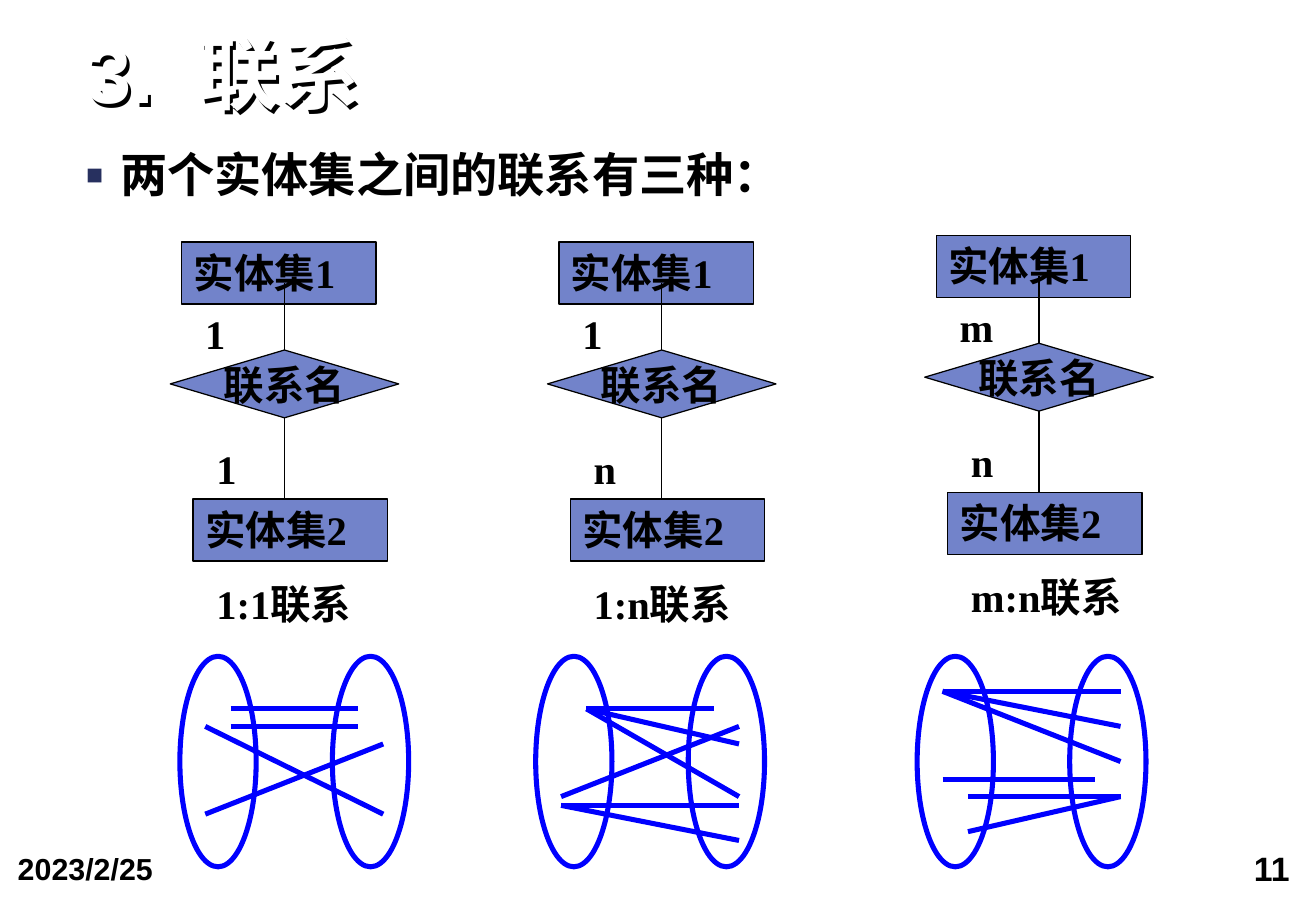
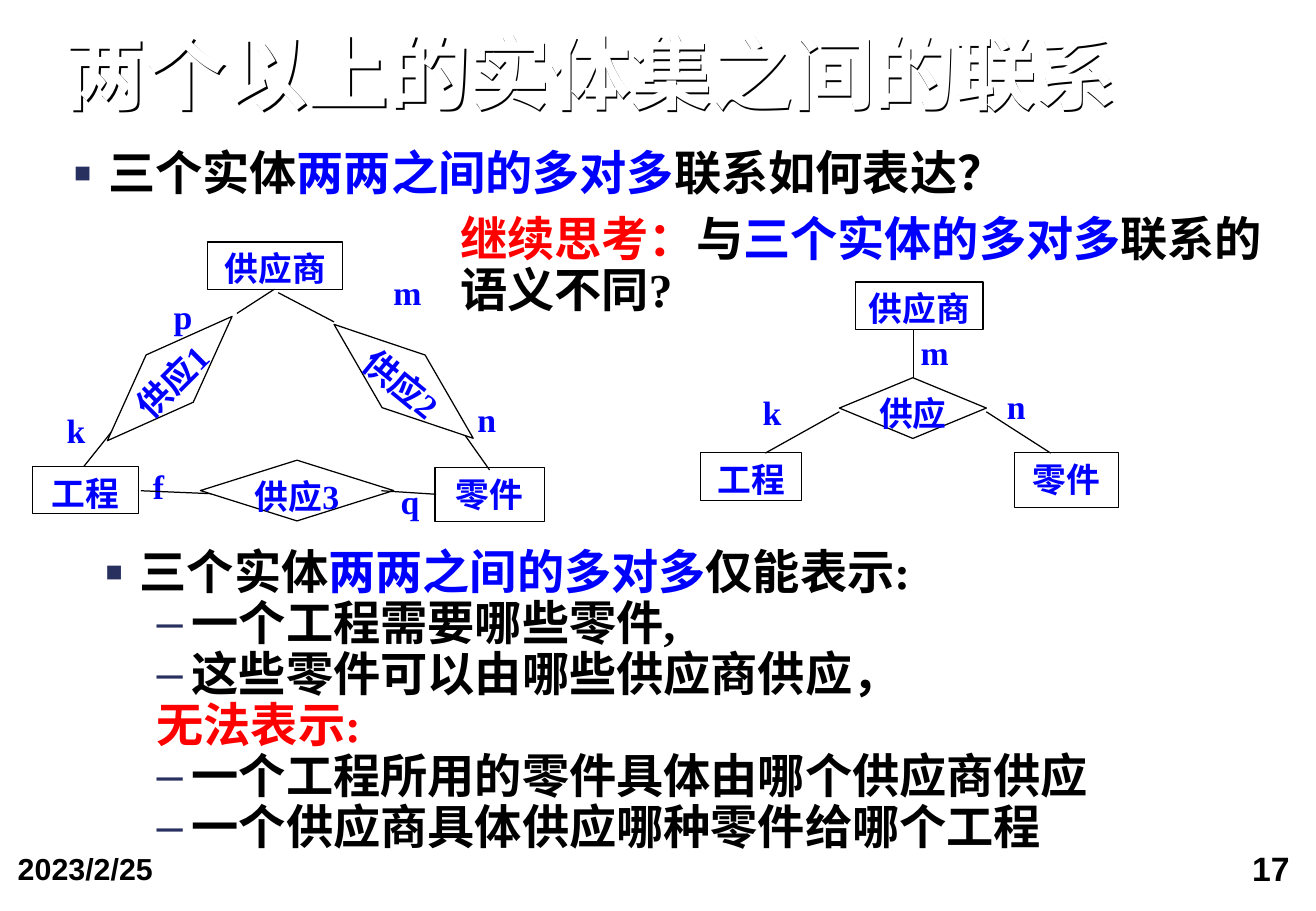
from dataclasses import dataclass

import pptx
import pptx.dml.color
import pptx.enum.shapes
import pptx.enum.text
import pptx.oxml
import pptx.util

Pt = pptx.util.Pt
RGBColor = pptx.dml.color.RGBColor
Shape = pptx.enum.shapes.MSO_SHAPE
Align = pptx.enum.text.PP_ALIGN
Anchor = pptx.enum.text.MSO_ANCHOR

BLACK = RGBColor(0x00, 0x00, 0x00)
WHITE = RGBColor(0xFF, 0xFF, 0xFF)
BLUE = RGBColor(0x00, 0x00, 0xFF)
RED = RGBColor(0xFF, 0x00, 0x00)
PERIWINKLE = RGBColor(0x72, 0x83, 0xCA)
NAVY = RGBColor(0x27, 0x30, 0x5F)

SANS = "Arial"
SERIF = "Times New Roman"
NAMESPACE = 'xmlns:a="http://schemas.openxmlformats.org/drawingml/2006/main"'
DEFAULT_INSETS = (7.2, 3.6)
NO_INSETS = (0, 0)
FOOTER_INSETS = (9.4, 4.3)


@dataclass(frozen=True)
class Area:
    left: float
    top: float
    width: float
    height: float

    def lengths(self) -> list:
        return [Pt(value) for value in (self.left, self.top, self.width, self.height)]


@dataclass(frozen=True)
class Span:
    text: str
    color: RGBColor = BLACK
    tracking: int = 0


@dataclass(frozen=True)
class Para:
    spans: tuple
    bullet: str = ""
    bullet_size: int = 100
    margin: float = 0
    indent: float = 0


@dataclass(frozen=True)
class TextStyle:
    size: float
    font: str = SERIF
    align: Align = Align.LEFT
    anchor: Anchor = Anchor.TOP
    insets: tuple = DEFAULT_INSETS
    wrap: bool = True
    spacing: float = 1.0


@dataclass(frozen=True)
class Node:
    text: str
    area: Area
    kind: Shape = Shape.RECTANGLE
    rotation: float = 0
    line: RGBColor = BLACK


@dataclass(frozen=True)
class Relation:
    upper: str
    lower: str
    left: float
    top: float


@dataclass(frozen=True)
class Mapping:
    left: float
    links: tuple


TITLE = TextStyle(48, SANS, anchor=Anchor.BOTTOM, insets=NO_INSETS, spacing=0.9)
BODY = TextStyle(28, insets=NO_INSETS, spacing=0.9)
REMARK = TextStyle(28, spacing=0.9)
DATE = TextStyle(18, SANS, insets=FOOTER_INSETS)
NUMBER = TextStyle(20, SANS, align=Align.RIGHT, insets=FOOTER_INSETS)
ENTITY = TextStyle(24)
RELATION = TextStyle(24, align=Align.CENTER, anchor=Anchor.MIDDLE, wrap=False)
LABEL = TextStyle(20)
NODE = TextStyle(20, align=Align.CENTER)
DIAMOND = TextStyle(20, align=Align.CENTER, insets=NO_INSETS)

COLUMN_STEP = 223.6
RELATIONS = tuple(
    Relation(upper, lower, 100.9 + index * COLUMN_STEP, top)
    for index, (upper, lower, top) in enumerate(
        (("1", "1", 143.5), ("1", "n", 143.5), ("m", "n", 139.5))
    )
)

UNIT_X, UNIT_Y, MAPPING_TOP = 15.07, 10.4, 389
MAPPINGS = (
    Mapping(106.6, ((2, 3, 7, 3), (2, 4, 7, 4), (1, 4, 8, 9), (1, 9, 8, 5))),
    Mapping(317.5, ((2, 3, 7, 3), (2, 3, 8, 5), (2, 3, 8, 8), (1, 8, 8, 4),
                    (1, 8.5, 8, 8.5), (1, 8.5, 8, 10.5))),
    Mapping(543.6, ((1, 2, 8, 2), (1, 2, 8, 4), (1, 2, 8, 6), (2, 8, 8, 8),
                    (2, 10, 8, 8), (1, 7, 7, 7))),
)

PAIR_LABELS = (
    ("k", 32.4, 239.4), ("n", 275.8, 233), ("m", 226.1, 157.7),
    ("p", 95.8, 171.7), ("f", 83.5, 272.6), ("q", 230.4, 281.5),
)
PAIR_LINES = (
    (72.7, 247.7, 49.7, 276.5), (264.2, 241.9, 290.2, 278.6),
    (162.7, 171.4, 140.4, 185.8), (164.9, 173.5, 198, 190.8),
    (83.5, 290.9, 133.9, 293),
)
PAIR_FRONT_LINES = ((226.1, 290.9, 258.5, 293),)
PAIR_ENTITIES = (
    Node("供应商", Area(123.2, 143.4, 79.9, 28.1)),
    Node("工程", Area(19.4, 276.5, 62.6, 28.1)),
    Node("零件", Area(257.9, 277.2, 64.8, 32.2)),
)
PAIR_DIAMONDS = (
    Node("供应2", Area(185.9, 205.9, 106.6, 40.3), Shape.DIAMOND, 39.3),
    Node("供应1", Area(48.4, 204.6, 104.4, 39.6), Shape.DIAMOND, 315.1),
    Node("供应3", Area(118.8, 272.8, 114.5, 36), Shape.DIAMOND),
)
TRIPLE_LINES = (
    (497.5, 244.1, 453.6, 268.6), (584.6, 244.1, 622.8, 268.6),
    (541.4, 195.8, 541.4, 227.5),
)
TRIPLE_ENTITIES = (
    Node("k", Area(444.9, 228.7, 42.5, 28.1), line=WHITE),
    Node("n", Area(589.7, 225.2, 32.4, 28.1), line=WHITE),
    Node("m", Area(538.6, 193, 42.5, 28.1), line=WHITE),
    Node("供应商", Area(507.1, 167.1, 75.6, 28.1)),
    Node("工程", Area(415.4, 268.4, 59.8, 28.1)),
    Node("零件", Area(601.2, 268.4, 61.9, 32.4)),
)
TRIPLE_DIAMONDS = (Node("供应", Area(497.5, 223.9, 87.1, 36), Shape.DIAMOND),)


def plain(text: str, color: RGBColor = BLACK) -> tuple:
    return (Para((Span(text, color),)),)


def square(*spans: Span) -> Para:
    return Para(spans, "■", 60, 20.2, -20.2)


def dash(text: str) -> Para:
    return Para((Span(text),), "–", 100, 51.1, -20.9)


def set_values(target, values: dict) -> None:
    for name, value in values.items():
        setattr(target, name, value)


def element(markup: str):
    return pptx.oxml.parse_xml(markup.replace("NS", NAMESPACE, 1))


def write(shape, paras: tuple, style: TextStyle) -> None:
    frame = shape.text_frame
    across, down = (Pt(value) for value in style.insets)
    set_values(frame, {
        "word_wrap": style.wrap, "vertical_anchor": style.anchor,
        "margin_left": across, "margin_right": across,
        "margin_top": down, "margin_bottom": down,
    })
    for index, item in enumerate(paras):
        para = frame.add_paragraph() if index else frame.paragraphs[0]
        properties = para._p.get_or_add_pPr()
        properties.set("marL", str(Pt(item.margin)))
        properties.set("indent", str(Pt(item.indent)))
        if item.bullet:
            for markup in (
                f'<a:buClr NS><a:srgbClr val="{NAVY}"/></a:buClr>',
                f'<a:buSzPct NS val="{item.bullet_size * 1000}"/>',
                f'<a:buFont NS typeface="{SANS}"/>',
                f'<a:buChar NS char="{item.bullet}"/>',
            ):
                properties.append(element(markup))
        set_values(para, {"alignment": style.align, "line_spacing": style.spacing})
        for span in item.spans:
            run = para.add_run()
            run.text = span.text
            set_values(run.font, {"name": style.font, "size": Pt(style.size), "bold": True})
            run.font.color.rgb = span.color
            if span.tracking:
                run._r.get_or_add_rPr().set("spc", str(span.tracking * 100))


def add_text(page, area: Area, paras: tuple, style: TextStyle):
    box = page.shapes.add_textbox(*area.lengths())
    write(box, paras, style)
    return box


def add_outline(page, kind: Shape, area: Area, line: RGBColor, weight: float,
                fill: RGBColor | None = None):
    shape = page.shapes.add_shape(kind, *area.lengths())
    shape.shadow.inherit = False
    if fill is None:
        shape.fill.background()
    else:
        shape.fill.solid()
        shape.fill.fore_color.rgb = fill
    shape.line.color.rgb = line
    shape.line.width = Pt(weight)
    return shape


def add_line(page, ends: tuple, color: RGBColor = BLACK, weight: float = 0.75) -> None:
    line = page.shapes.add_connector(
        pptx.enum.shapes.MSO_CONNECTOR.STRAIGHT, *(Pt(value) for value in ends))
    line.line.color.rgb = color
    line.line.width = Pt(weight)
    line._element.spPr.append(element("<a:effectLst NS/>"))


def add_node(page, node: Node) -> None:
    shape = add_outline(page, node.kind, node.area, node.line, 0.75, WHITE)
    shape.rotation = node.rotation
    style = DIAMOND if node.kind == Shape.DIAMOND else LABEL if node.line == WHITE else NODE
    write(shape, plain(node.text, BLUE), style)


def add_network(page, entities: tuple, lines: tuple, diamonds: tuple,
                front_lines: tuple = ()) -> None:
    for node in entities:
        add_node(page, node)
    for ends in lines:
        add_line(page, ends)
    for node in diamonds:
        add_node(page, node)
    for ends in front_lines:
        add_line(page, ends)


def add_relation(page, item: Relation) -> None:
    left, top = item.left, item.top
    middle = left + 67.7
    for kind, text, shift, drop, width, height, style in (
        (Shape.RECTANGLE, "实体集1", 6.8, 0, 115.2, 36.7, ENTITY),
        (Shape.DIAMOND, "联系名", 0, 64, 135.4, 40.2, RELATION),
        (Shape.RECTANGLE, "实体集2", 13.6, 152.3, 115.2, 36.7, ENTITY),
    ):
        area = Area(left + shift, top + drop, width, height)
        write(add_outline(page, kind, area, BLACK, 0.75, PERIWINKLE), plain(text), style)
    for start, end in ((64, 24.3), (104.2, 152.3)):
        add_line(page, (middle, top + start, middle, top + end))
    for text, shift, drop, width in (
        (item.upper, 13.6, 36.2, 33.8),
        (item.lower, 20.3, 116.2, 33.8),
        (f"{item.upper}:{item.lower}联系", 20.3, 196.2, 121.7),
    ):
        add_text(page, Area(left + shift, top + drop, width, 36), plain(text), ENTITY)


def add_mapping(page, item: Mapping) -> None:
    for column in (0, 6):
        area = Area(item.left + column * UNIT_X, MAPPING_TOP, 3 * UNIT_X, 12 * UNIT_Y)
        add_outline(page, Shape.OVAL, area, BLUE, 3)
    for x1, y1, x2, y2 in item.links:
        add_line(page, (item.left + x1 * UNIT_X, MAPPING_TOP + y1 * UNIT_Y,
                        item.left + x2 * UNIT_X, MAPPING_TOP + y2 * UNIT_Y), BLUE, 3)


def add_page(deck, number: int, title: tuple, left: float, width: float, shadow: float):
    page = deck.slides.add_slide(deck.slide_layouts[6])
    add_text(page, Area(576.5, 498.2, 197.3, 41.8), plain(str(number)), NUMBER)
    add_text(page, Area(1.1, 499.9, 180.7, 40), plain("2023/2/25"), DATE)
    box = add_text(page, Area(left, 20.2, width, 51.8), (Para(title),), TITLE)
    box._element.spPr.append(element(
        f'<a:effectLst NS><a:outerShdw dist="{Pt(shadow)}" dir="2700000" algn="ctr" '
        f'rotWithShape="0"><a:srgbClr val="{BLACK}"/></a:outerShdw></a:effectLst>'))
    return page


def build_relations(deck) -> None:
    title = (Span("3.", WHITE), Span(" ", WHITE, 13), Span("联系", WHITE))
    page = add_page(deck, 11, title, 51.1, 694.8, 2.83)
    add_text(page, Area(51.1, 90, 694.8, 30.2),
             (square(Span("两个实体集之间的联系有三种：")),), BODY)
    for relation in RELATIONS:
        add_relation(page, relation)
    for mapping in MAPPINGS:
        add_mapping(page, mapping)


def build_entities(deck) -> None:
    page = add_page(deck, 17, (Span("两个以上的实体集之间的联系", WHITE),), 38.2, 728.6, 1.41)
    pairwise = (Span("三个实体"), Span("两两之间的多对多", BLUE))
    add_text(page, Area(43.9, 88.6, 708.5, 30.2),
             (square(*pairwise, Span("联系如何表达？")),), BODY)
    for text, left, top in PAIR_LABELS:
        add_text(page, Area(left, top, 44.6, 28.1), plain(text, BLUE), LABEL)
    add_network(page, PAIR_ENTITIES, PAIR_LINES, PAIR_DIAMONDS, PAIR_FRONT_LINES)
    add_text(page, Area(62.6, 325.4, 635, 182.9), (
        square(*pairwise, Span("仅能表示:")),
        dash("一个工程需要哪些零件,"),
        dash("这些零件可以由哪些供应商供应，"),
        Para((Span("无法表示:", RED),), margin=30.2),
        dash("一个工程所用的零件具体由哪个供应商供应"),
        dash("一个供应商具体供应哪种零件给哪个工程"),
    ), BODY)
    add_network(page, TRIPLE_ENTITIES, TRIPLE_LINES, TRIPLE_DIAMONDS)
    add_text(page, Area(265.7, 124.2, 514.3, 68.4), (Para((
        Span("继续思考：", RED), Span("与"), Span("三个实体的多对多", BLUE),
        Span("联系的语义不同?"))),), REMARK)


def main() -> None:
    deck = pptx.Presentation()
    set_values(deck, {"slide_width": Pt(780), "slide_height": Pt(540)})
    build_relations(deck)
    build_entities(deck)
    deck.save("out.pptx")


if __name__ == "__main__":
    main()
